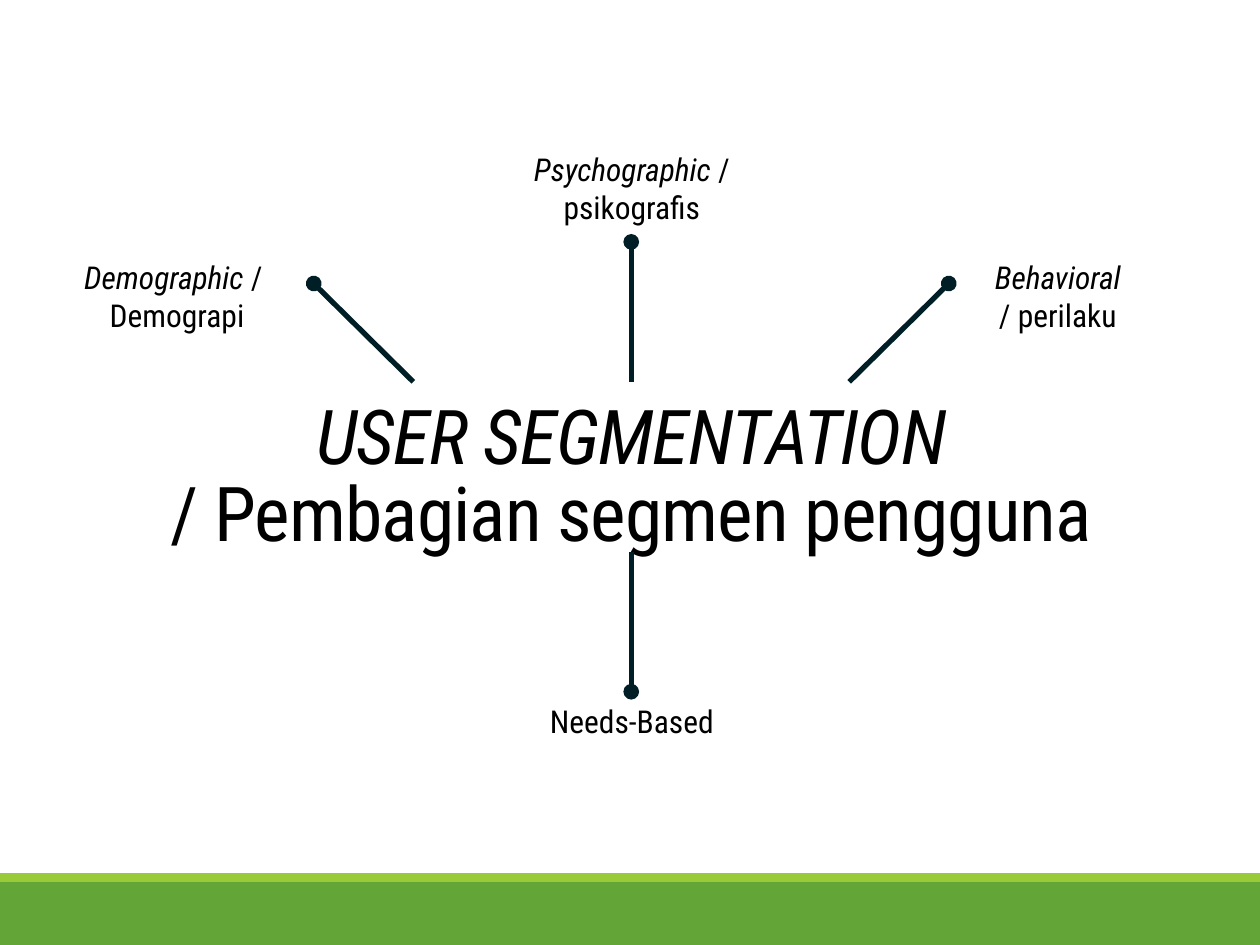
from lxml import etree
from pptx import Presentation
from pptx.dml.color import RGBColor
from pptx.enum import shapes, text
from pptx.oxml.ns import qn
from pptx.util import Inches, Pt

COLORS = {"band": "63A537", "strip": "99CB38", "line": "001E26", "text": "000000"}
FONT = "Roboto Condensed"


def rgb(name):
    return RGBColor.from_string(COLORS[name])


def format_paragraph(p, size):
    p.alignment = text.PP_ALIGN.CENTER
    p.font.name = FONT
    p.font.size = Pt(size)
    p.font.color.rgb = rgb("text")


prs = Presentation()
prs.slide_width, prs.slide_height = Inches(10), Inches(7.5)
s = prs.slides.add_slide(prs.slide_layouts[5])

# Footer bands
for color, top, height in [("band", 7, 0.5), ("strip", 6.93, 0.07)]:
    sp = s.shapes.add_shape(shapes.MSO_SHAPE.RECTANGLE, 0, Inches(top),
                            prs.slide_width, Inches(height))
    sp.shadow.inherit = False
    sp.fill.solid()
    sp.fill.fore_color.rgb = rgb(color)
    sp.line.fill.background()

# Central title
title = s.shapes.title
title.left, title.top = Inches(0.76), Inches(3.6)
title.width, title.height = Inches(8.5), Inches(0.87)
tf = title.text_frame
tf.auto_size = text.MSO_AUTO_SIZE.NONE
tf.vertical_anchor = text.MSO_ANCHOR.BOTTOM
p = tf.paragraphs[0]
format_paragraph(p, 43.2)
p.line_spacing = 0.85
english = p.add_run()
english.text = "USER SEGMENTATION"
english.font.italic = True
p.add_line_break()
p.add_run().text = "/ Pembagian segmen pengguna"
for r in p.runs:
    r.font._element.set("spc", "-50")

# Spokes from the title out to each segment
spokes = [
    (5.01, 3.03, 5.01, 1.92),
    (3.28, 3.03, 2.49, 2.25),
    (6.74, 3.03, 7.53, 2.25),
    (5.01, 4.38, 5.01, 5.49),
]
for ends in spokes:
    line = s.shapes.add_connector(shapes.MSO_CONNECTOR.STRAIGHT,
                                  *[Inches(v) for v in ends])
    line.line.color.rgb = rgb("line")
    line.line.width = Pt(3)
    etree.SubElement(line.line._get_or_add_ln(), qn("a:tailEnd"), type="oval")
    etree.SubElement(line._element.spPr, qn("a:effectLst"))

# Segment labels: left, top, height, paragraphs of (text, italic) runs
labels = [
    (3.61, 1.14, 0.71, [[("Psychographic", True), (" / psikografis", False)]]),
    (0, 2, 0.71, [[("Demographic", True), (" / ", False)], [("Demograpi", False)]]),
    (6.99, 2, 0.71, [[("Behavioral", True)], [("/ perilaku", False)]]),
    (3.61, 5.52, 0.45, [[("Needs-Based", False)]]),
]
for left, top, height, paragraphs in labels:
    sp = s.shapes.add_textbox(Inches(left), Inches(top), Inches(2.81), Inches(height))
    tf = sp.text_frame
    tf.word_wrap = True
    tf.auto_size = text.MSO_AUTO_SIZE.SHAPE_TO_FIT_TEXT
    for i, runs in enumerate(paragraphs):
        p = tf.add_paragraph() if i else tf.paragraphs[0]
        format_paragraph(p, 18)
        for words, italic in runs:
            r = p.add_run()
            r.text = words
            r.font.italic = italic

prs.save("out.pptx")
